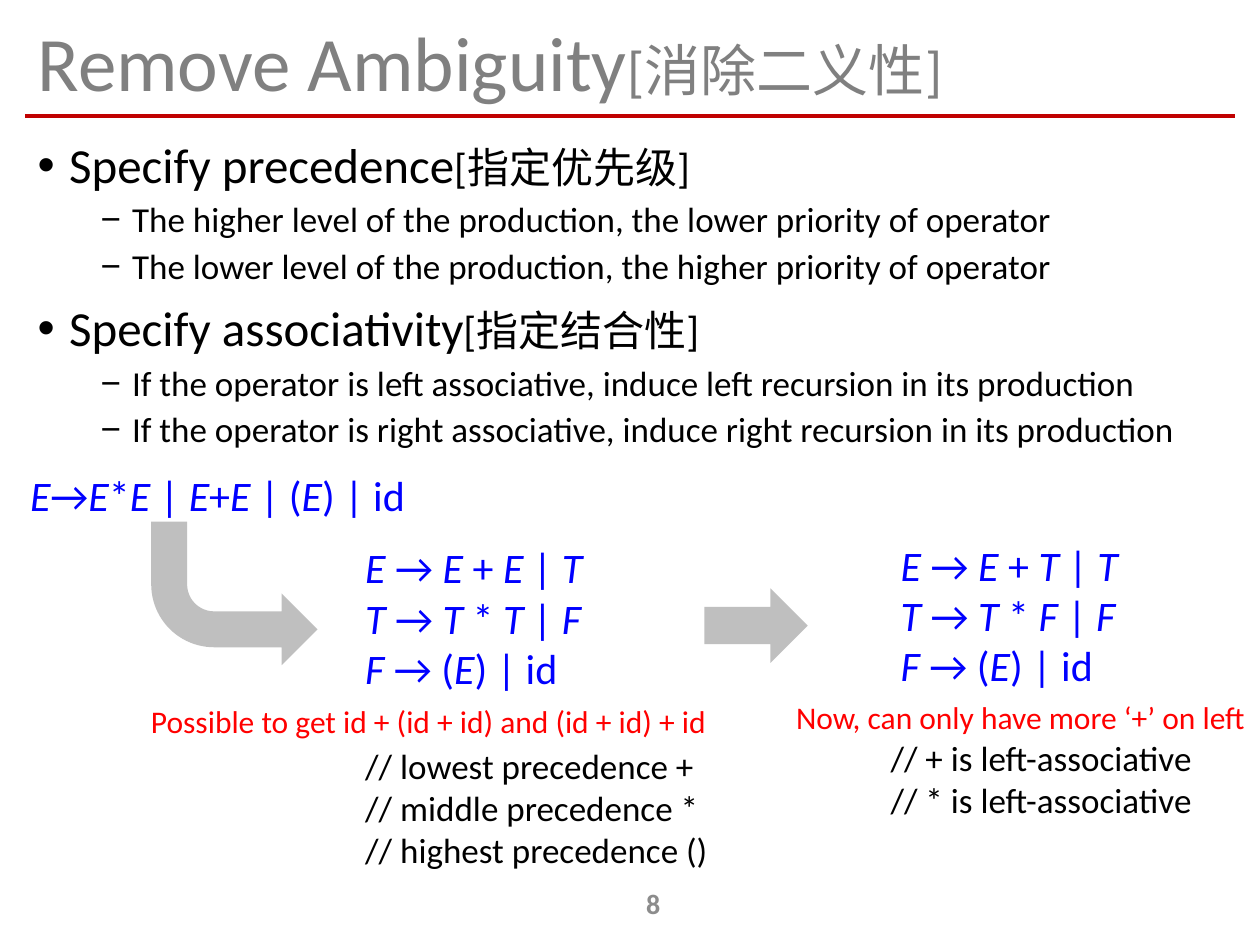
from dataclasses import dataclass
from itertools import groupby

from lxml import etree
from pptx import Presentation
from pptx.dml.color import RGBColor
from pptx.enum import shapes, text
from pptx.oxml import ns
from pptx.util import Inches, Pt

BLACK = RGBColor(0, 0, 0)
BLUE = RGBColor(0, 0, 0xFF)
RED = RGBColor(0xFF, 0, 0)
RULE = RGBColor(0xC0, 0, 0)
GREY = RGBColor(0x80, 0x80, 0x80)
PAGE = RGBColor(0x8C, 0x8C, 0x8C)
SILVER = RGBColor(0xBF, 0xBF, 0xBF)
FONT = "Calibri"


@dataclass
class Box:
    left: float
    top: float
    width: float
    height: float


@dataclass
class Note:
    box: Box
    lines: list[str]
    size: int
    color: RGBColor
    wrap: bool = False


@dataclass
class Topic:
    head: str
    gloss: str
    points: list[str]


def place(box: Box) -> tuple:
    return tuple(Inches(v) for v in (box.left, box.top, box.width, box.height))


def style(font, size: int, color: RGBColor, bold: bool = False) -> None:
    font.name = FONT
    font.size = Pt(size)
    font.color.rgb = color
    font.bold = bold


def write(para, words: str, size: int, color: RGBColor, bold: bool = False):
    run = para.add_run()
    run.text = words
    style(run.font, size, color, bold)
    return run


def add_frame(slide, box: Box, wrap: bool = True, middle: bool = False):
    frame = slide.shapes.add_textbox(*place(box)).text_frame
    frame.word_wrap = wrap
    anchor = text.MSO_ANCHOR
    frame.vertical_anchor = anchor.MIDDLE if middle else anchor.TOP
    return frame


def next_para(frame):
    first = frame.paragraphs[0]
    return frame.add_paragraph() if first.runs else first


def add_note(slide, note: Note) -> None:
    frame = add_frame(slide, note.box, note.wrap)
    for line in note.lines:
        para = next_para(frame)
        style(para.font, note.size, note.color)
        write(para, line, note.size, note.color)


def add_rules(slide, note: Note) -> None:
    """Grammar rules, with the nonterminals in italics."""
    frame = add_frame(slide, note.box, note.wrap)
    for line in note.lines:
        para = next_para(frame)
        style(para.font, note.size, note.color)
        for slant, part in groupby(line, lambda char: char in "ETF"):
            run = write(para, "".join(part), note.size, note.color)
            run.font.italic = slant


def add_bullet(frame, mark: str, indent: float, gap: int):
    para = next_para(frame)
    para.line_spacing = 0.9
    para.space_before = Pt(gap)
    props = para._p.get_or_add_pPr()
    props.set("marL", str(Inches(indent)))
    props.set("indent", str(Inches(-0.25)))
    face = etree.SubElement(props, ns.qn("a:buFont"))
    face.set("typeface", "Arial")
    etree.SubElement(props, ns.qn("a:buChar")).set("char", mark)
    return para


def add_topic(frame, topic: Topic) -> None:
    para = add_bullet(frame, "•", 0.25, 10)
    write(para, topic.head, 28, BLACK)
    write(para, topic.gloss, 24, BLACK)
    for point in topic.points:
        para = add_bullet(frame, "−", 0.75, 5)
        style(para.font, 20, BLACK)
        write(para, point, 20, BLACK)


def add_arrow(slide, kind, box: Box, flip: bool = False) -> None:
    arrow = slide.shapes.add_shape(kind, *place(box))
    arrow.shadow.inherit = False
    arrow.fill.solid()
    arrow.fill.fore_color.rgb = SILVER
    arrow.line.fill.background()
    if flip:
        arrow._element.spPr.find(ns.qn("a:xfrm")).set("flipV", "1")


TOPICS = [
    Topic("Specify precedence", "[指定优先级]", [
        "The higher level of the production, the lower priority of operator",
        "The lower level of the production, the higher priority of operator",
    ]),
    Topic("Specify associativity", "[指定结合性]", [
        "If the operator is left associative, induce left recursion in its production",
        "If the operator is right associative, induce right recursion in its production",
    ]),
]
RULES = [
    Note(Box(0.14, 3.68, 3.2, 0.5), ["E→E*E | E+E | (E) | id"], 24, BLUE),
    Note(Box(2.8, 4.25, 2.17, 1.31),
         ["E → E + E | T", "T → T * T | F", "F → (E) | id"], 24, BLUE, True),
    Note(Box(7.05, 4.23, 1.97, 1.31),
         ["E → E + T | T", "T → T * F | F", "F → (E) | id"], 24, BLUE),
]
NOTES = [
    Note(Box(2.8, 5.86, 2.95, 1.11),
         ["// lowest precedence +", "// middle precedence *",
          "// highest precedence ()"], 20, BLACK),
    Note(Box(6.97, 5.8, 2.63, 0.77),
         ["// + is left-associative", "// * is left-associative"], 20, BLACK),
    Note(Box(6.22, 5.49, 3.82, 0.4),
         ["Now, can only have more ‘+’ on left"], 18, RED),
    Note(Box(1.1, 5.52, 4.74, 0.4),
         ["Possible to get id + (id + id) and (id + id) + id"], 18, RED, True),
]


def main() -> None:
    deck = Presentation()
    deck.slide_width, deck.slide_height = Inches(10), Inches(7.5)
    slide = deck.slides.add_slide(deck.slide_layouts[6])

    # Title and rule
    rule = slide.shapes.add_connector(
        shapes.MSO_CONNECTOR.STRAIGHT,
        Inches(0.2), Inches(0.92), Inches(9.8), Inches(0.92))
    rule.line.color.rgb = RULE
    rule.line.width = Pt(2.5)
    etree.SubElement(rule._element.spPr, ns.qn("a:effectLst"))
    title = add_frame(slide, Box(0.2, 0.13, 9.61, 0.79), middle=True)
    head = title.paragraphs[0]
    head.line_spacing = 0.9
    write(head, "Remove Ambiguity", 44, GREY)
    write(head, "[消除二义性]", 32, GREY)

    # Bulleted topics
    body = add_frame(slide, Box(0.2, 1.07, 9.61, 3.11))
    for topic in TOPICS:
        add_topic(body, topic)

    # Grammar steps, arrows and notes
    kinds = shapes.MSO_SHAPE
    add_arrow(slide, kinds.BENT_ARROW, Box(1.2, 4.14, 1.32, 1.14), flip=True)
    add_arrow(slide, kinds.RIGHT_ARROW, Box(5.59, 4.67, 0.82, 0.59))
    for note in RULES:
        add_rules(slide, note)
    for note in NOTES:
        add_note(slide, note)

    # Page number
    foot = add_frame(slide, Box(4.06, 6.97, 2.25, 0.4), middle=True)
    page = foot.paragraphs[0]
    page.alignment = text.PP_ALIGN.CENTER
    style(page.font, 16, PAGE, bold=True)
    write(page, "8", 16, PAGE, bold=True)

    deck.save("out.pptx")


if __name__ == "__main__":
    main()
